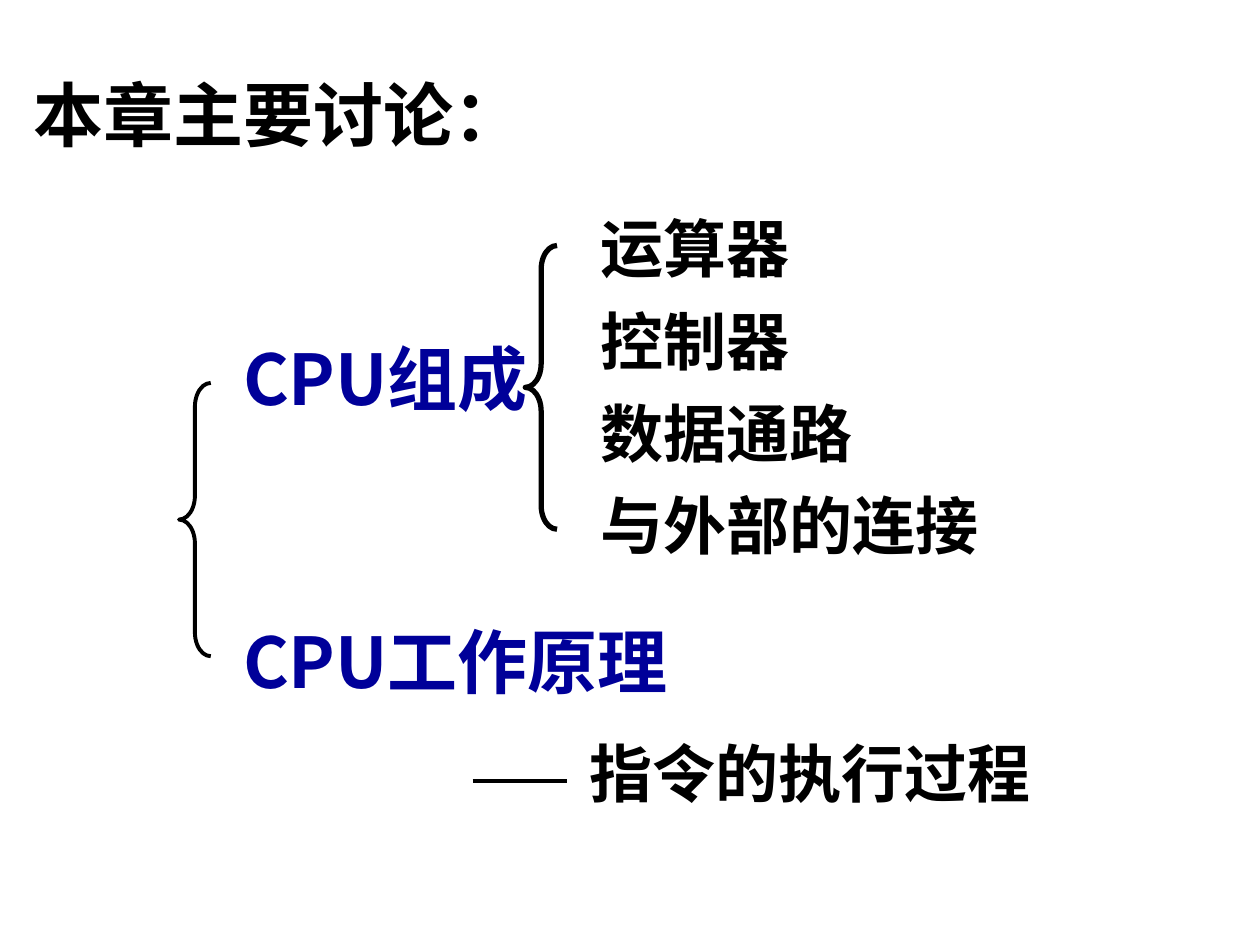
from dataclasses import dataclass

from lxml.etree import SubElement
from pptx import Presentation
from pptx.dml.color import RGBColor
from pptx.enum.shapes import MSO_CONNECTOR, MSO_SHAPE
from pptx.enum.text import MSO_ANCHOR, MSO_AUTO_SIZE, PP_ALIGN
from pptx.oxml.ns import qn
from pptx.util import Cm, Pt


@dataclass(frozen=True)
class Theme:
    ink: RGBColor = RGBColor(0x00, 0x00, 0x00)
    accent: RGBColor = RGBColor(0x00, 0x00, 0x99)
    serif: str = "Times New Roman"
    sans: str = "Noto Sans CJK SC"
    heading_size: int = 40
    item_size: int = 36
    item_gap: float = 22.5
    item_leading: float = 0.7
    brace_curve: float = 0.75


@dataclass(frozen=True)
class Box:
    left: float
    top: float
    width: float
    height: float

    def lengths(self) -> tuple:
        return Cm(self.left), Cm(self.top), Cm(self.width), Cm(self.height)


@dataclass(frozen=True)
class Topic:
    subject: str
    aspect: str
    box: Box


@dataclass(frozen=True)
class Brace:
    box: Box
    weight: float


THEME = Theme()
COMPONENTS = ("运算器", "控制器", "数据通路", "与外部的连接")
TOPICS = (
    Topic("CPU", "组成", Box(4.65, 6.63, 7.82, 1.96)),
    Topic("CPU", "工作原理", Box(4.65, 12.34, 11, 1.96)),
)
BRACES = (
    Brace(Box(10.59, 4.95, 0.64, 5.72), 3),
    Brace(Box(3.61, 7.72, 0.64, 5.51), 2.25),
)


def place(holder, box: Box):
    holder.left, holder.top, holder.width, holder.height = box.lengths()
    frame = holder.text_frame
    frame.word_wrap = True
    frame.auto_size = MSO_AUTO_SIZE.NONE
    frame.vertical_anchor = MSO_ANCHOR.TOP
    return frame


def style(paragraph, size: int, color: RGBColor) -> None:
    paragraph.alignment = PP_ALIGN.LEFT
    paragraph.space_before = Pt(0)
    paragraph.font.size = Pt(size)
    paragraph.font.bold = True
    paragraph.font.name = THEME.serif
    paragraph.font.color.rgb = color


def write_line(holder, text: str, box: Box, size: int) -> None:
    frame = place(holder, box)
    frame.text = text
    style(frame.paragraphs[0], size, THEME.ink)


def write_components(holder, box: Box) -> None:
    frame = place(holder, box)
    frame.text = "\n".join(COMPONENTS)
    for index, paragraph in enumerate(frame.paragraphs):
        properties = paragraph._p.get_or_add_pPr()
        properties.set("marL", "0")
        properties.set("indent", "0")
        SubElement(properties, qn("a:buNone"))
        style(paragraph, THEME.item_size, THEME.ink)
        paragraph.line_spacing = THEME.item_leading
        if index:
            paragraph.space_before = Pt(THEME.item_gap)


def write_topic(slide, topic: Topic) -> None:
    frame = place(slide.shapes.add_textbox(*topic.box.lengths()), topic.box)
    paragraph = frame.paragraphs[0]
    style(paragraph, THEME.heading_size, THEME.accent)
    for text, font_name in ((topic.subject, THEME.sans), (topic.aspect, THEME.serif)):
        run = paragraph.add_run()
        run.text = text
        run.font.name = font_name


def draw_brace(slide, brace: Brace) -> None:
    shape = slide.shapes.add_shape(MSO_SHAPE.LEFT_BRACE, *brace.box.lengths())
    shape.shadow.inherit = False
    shape.adjustments[0] = THEME.brace_curve
    shape.fill.background()
    shape.line.color.rgb = THEME.ink
    shape.line.width = Pt(brace.weight)


def draw_dash(slide, start: float, end: float, level: float) -> None:
    dash = slide.shapes.add_connector(
        MSO_CONNECTOR.STRAIGHT, Cm(start), Cm(level), Cm(end), Cm(level)
    )
    dash.line.color.rgb = THEME.ink
    dash.line.width = Pt(2.25)
    SubElement(dash._element.spPr, qn("a:effectLst"))


def main() -> None:
    """Build the chapter overview slide."""
    deck = Presentation()
    deck.slide_width, deck.slide_height = Cm(25.4), Cm(19.05)
    slide = deck.slides.add_slide(deck.slide_layouts[1])
    title, components = slide.placeholders
    write_line(title, "本章主要讨论：", Box(0.43, 1.32, 10.8, 1.96), THEME.heading_size)
    write_components(components, Box(11.86, 4.52, 9.53, 6.91))
    process_box = Box(11.63, 14.68, 11, 1.78)
    process = slide.shapes.add_textbox(*process_box.lengths())
    write_line(process, "指令的执行过程", process_box, THEME.item_size)
    for topic in TOPICS:
        write_topic(slide, topic)
    for brace in BRACES:
        draw_brace(slide, brace)
    draw_dash(slide, 9.53, 11.43, 15.75)
    deck.save("out.pptx")


if __name__ == "__main__":
    main()
